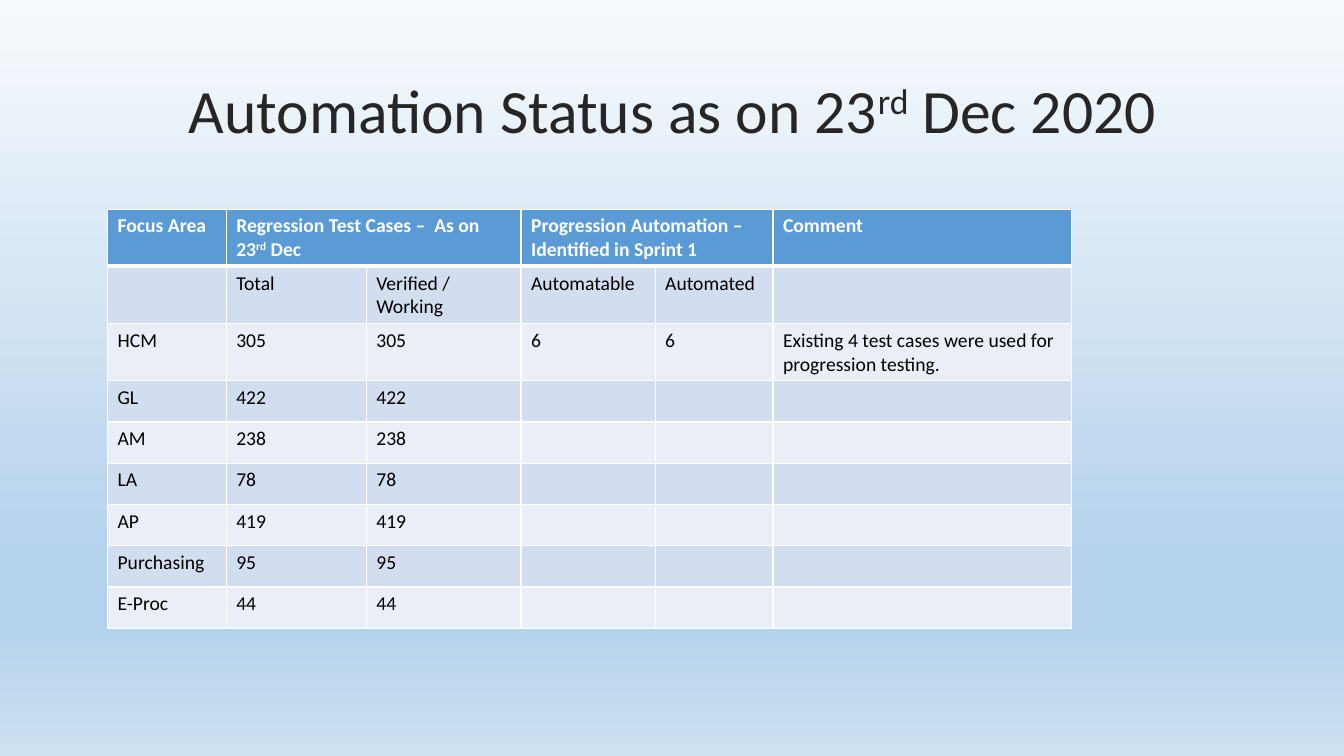
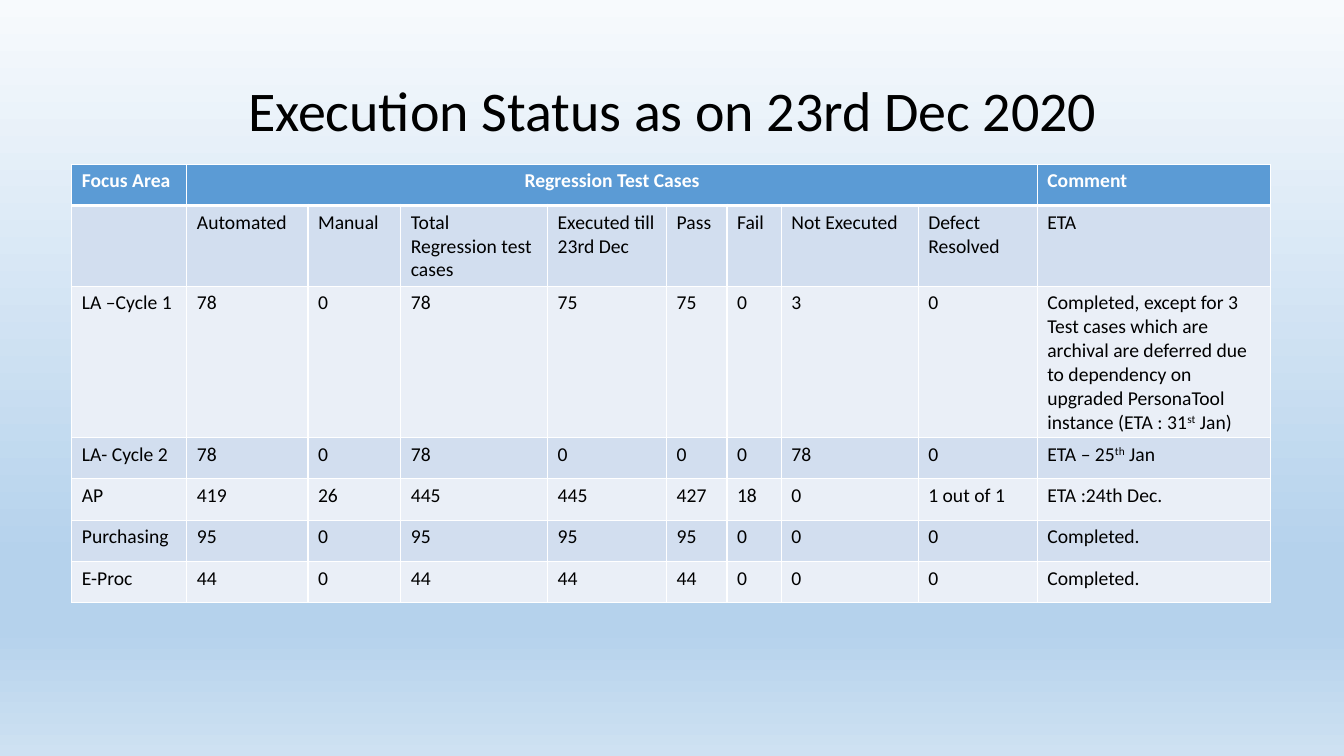
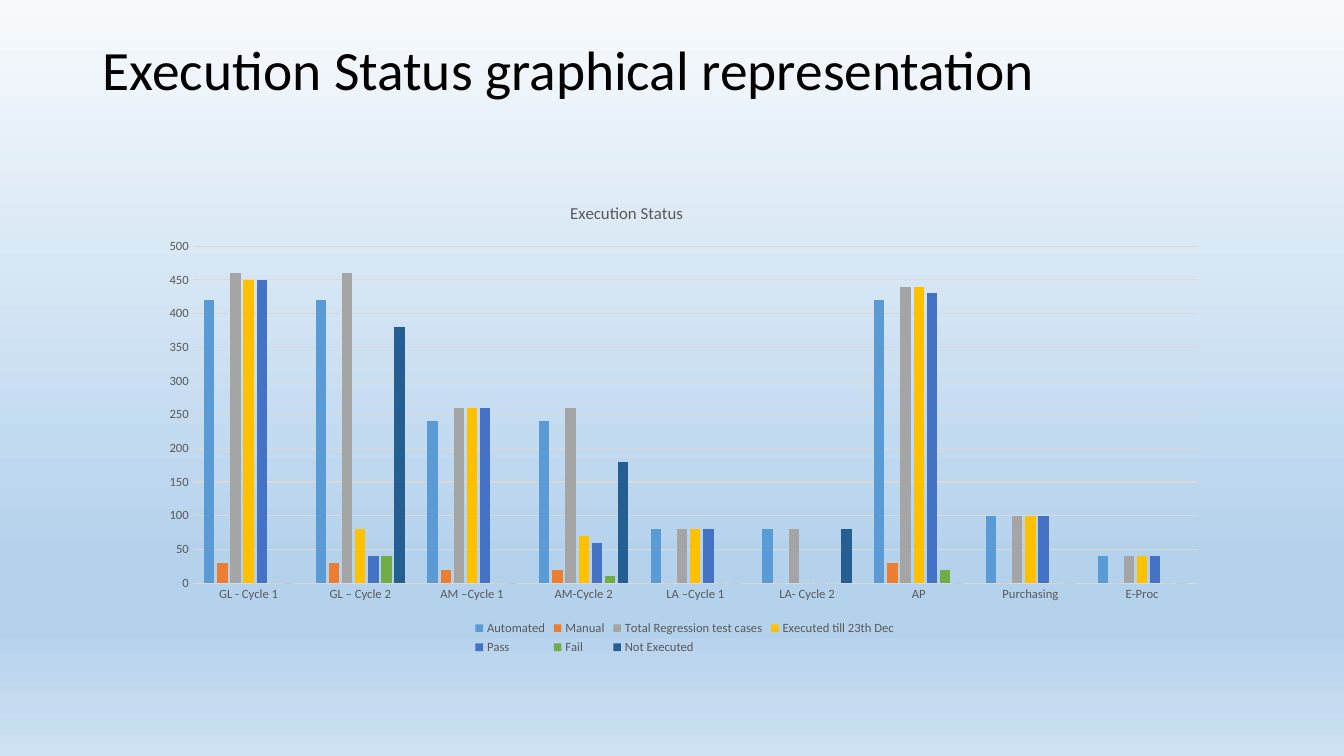
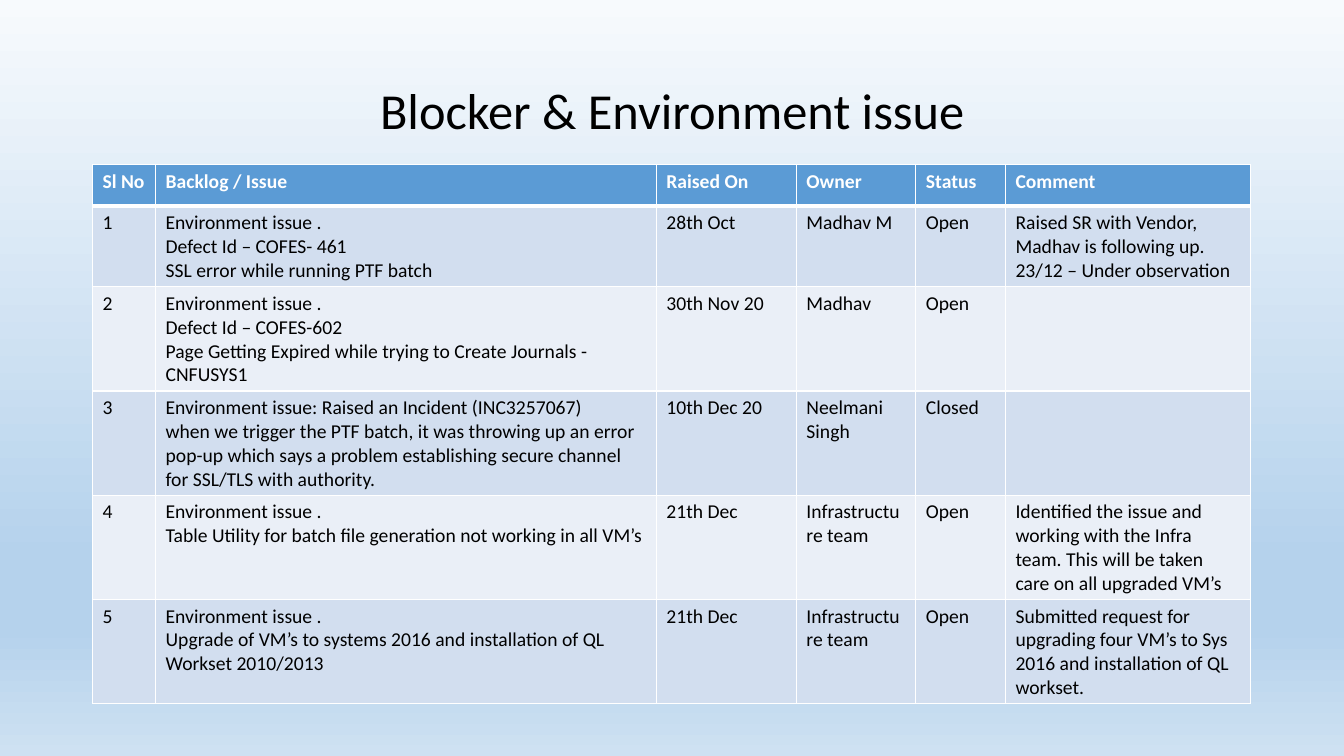
from lxml import etree
from pptx import Presentation
from pptx.chart.data import CategoryChartData
from pptx.dml.color import RGBColor
from pptx.enum.chart import XL_CHART_TYPE, XL_LEGEND_POSITION, XL_TICK_MARK
from pptx.enum.text import MSO_ANCHOR, PP_ALIGN
from pptx.oxml.ns import qn
from pptx.util import Cm, Pt

COLUMNS = XL_CHART_TYPE.COLUMN_CLUSTERED
BOTTOM = XL_LEGEND_POSITION.BOTTOM
NO_TICK = XL_TICK_MARK.NONE
MIDDLE = MSO_ANCHOR.MIDDLE
LEFT, CENTER = PP_ALIGN.LEFT, PP_ALIGN.CENTER

FONT = "Calibri"
COLORS = {
    "black": "000000", "charcoal": "262626", "white": "FFFFFF",
    "header": "5B9BD5", "band_dark": "D2DEEF", "band_light": "EAEFF7",
    "label": "595959", "grid": "D9D9D9",
}
BACKGROUND = [(0, "F7FAFD"), (74, "B5D2EC"), (83, "B5D2EC"), (100, "CEE1F2")]
SERIES_COLORS = ["5B9BD5", "ED7D31", "A5A5A5", "FFC000", "4472C4", "70AD47", "255E91"]

TITLE_BOX = (2.34, 1.02, 29.21, 3.68)
CHART_TITLE_BOX = (2.34, 1.02, 29.21, 1.63)
CHART_BOX = (3.78, 4.65, 26.95, 11.96)
ROW_HEIGHT = 1.04

AUTOMATION_COLUMNS = [2.99, 3.53, 3.9, 3.38, 2.97, 7.52]
# None in a header row extends the cell on its left.
AUTOMATION_ROWS = [
    ["Focus Area", "Regression Test Cases –  As on 23^rd^ Dec", None,
     "Progression Automation – Identified in Sprint 1", None, "Comment"],
    ["", "Total", "Verified / Working", "Automatable", "Automated", ""],
    ["HCM", "305", "305", "6", "6",
     "Existing 4 test cases were used for progression testing."],
] + [[area, count, count, "", "", ""] for area, count in [
    ("GL", "422"), ("AM", "238"), ("LA", "78"), ("AP", "419"),
    ("Purchasing", "95"), ("E-Proc", "44")]]

EXECUTION_COLUMNS = [2.9, 3.05, 2.34, 3.7, 3, 1.52, 1.37, 3.45, 3, 5.87]
EXECUTION_ROWS = [
    ["Focus Area", "Regression Test Cases"] + [None] * 7 + ["Comment"],
    ["", "Automated", "Manual", "Total Regression test cases",
     "Executed till 23rd Dec", "Pass", "Fail", "Not Executed",
     "Defect Resolved", "ETA"],
    ["LA –Cycle 1", "78", "0", "78", "75", "75", "0", "3", "0",
     "Completed, except for 3 Test cases which are archival are deferred due "
     "to dependency on upgraded PersonaTool instance (ETA : 31^st^ Jan)"],
    ["LA- Cycle 2", "78", "0", "78", "0", "0", "0", "78", "0", "ETA – 25^th^ Jan"],
    ["AP", "419", "26", "445", "445", "427", "18", "0", "1 out of 1",
     "ETA :24th Dec."],
    ["Purchasing", "95", "0", "95", "95", "95", "0", "0", "0", "Completed."],
    ["E-Proc", "44", "0", "44", "44", "44", "0", "0", "0", "Completed."],
]

CYCLES = ["GL - Cycle 1", "GL – Cycle 2", "AM –Cycle 1", "AM-Cycle 2",
          "LA –Cycle 1", "LA- Cycle 2", "AP", "Purchasing", "E-Proc"]
CYCLE_COUNTS = {
    "Automated": [420, 420, 240, 240, 80, 80, 420, 100, 40],
    "Manual": [30, 30, 20, 20, 0, 0, 30, 0, 0],
    "Total Regression test cases": [460, 460, 260, 260, 80, 80, 440, 100, 40],
    "Executed till 23th Dec": [450, 80, 260, 70, 80, 0, 440, 100, 40],
    "Pass": [450, 40, 260, 60, 80, 0, 430, 100, 40],
    "Fail": [0, 40, 0, 10, 0, 0, 20, 0, 0],
    "Not Executed": [0, 380, 0, 180, 0, 80, 0, 0, 0],
}

ISSUE_COLUMNS = [1.59, 12.62, 3.53, 3.01, 2.26, 6.18]
ISSUE_ROWS = [
    ["Sl No", "Backlog / Issue", "Raised On", "Owner", "Status", "Comment"],
    ["1", "Environment issue .\nDefect Id – COFES- 461\n"
     "SSL error while running PTF batch", "28th Oct", "Madhav M", "Open",
     "Raised SR with Vendor, Madhav is following up.\n23/12 – Under observation"],
    ["2", "Environment issue .\nDefect Id – COFES-602\n"
     "Page Getting Expired while trying to Create Journals - CNFUSYS1",
     "30th Nov 20", "Madhav", "Open", ""],
    ["3", "Environment issue: Raised an Incident (INC3257067)\n"
     "when we trigger the PTF batch, it was throwing up an error pop-up which "
     "says a problem establishing secure channel for SSL/TLS with authority.",
     "10th Dec 20", "Neelmani Singh", "Closed", ""],
    ["4", "Environment issue .\n"
     "Table Utility for batch file generation not working in all VM’s",
     "21th Dec", "Infrastructure team", "Open",
     "Identified the issue and working with the Infra team. "
     "This will be taken care on all upgraded VM’s"],
    ["5", "Environment issue .\nUpgrade of VM’s to systems 2016 and "
     "installation of QL Workset 2010/2013",
     "21th Dec", "Infrastructure team", "Open",
     "Submitted request for upgrading four VM’s to Sys 2016 and "
     "installation of QL workset."],
]


def rgb(name):
    """Return a palette colour."""
    return RGBColor.from_string(COLORS[name])


def style_font(font, size, color, bold=False):
    """Apply the deck font with a size, colour and weight."""
    font.name, font.size, font.bold = FONT, Pt(size), bold
    font.color.rgb = rgb(color)


def write(frame, text, size, color, bold=False, align=LEFT, spacing=None):
    """Fill a frame, one paragraph a line; text between carets is raised."""
    frame.text = text.replace("^", "")
    for para, line in zip(frame.paragraphs, text.split("\n")):
        para.alignment = align
        para.line_spacing = spacing
        para.text = ""
        for index, part in enumerate(line.split("^")):
            if not part:
                continue
            span = para.add_run()
            span.text = part
            style_font(span.font, size, color, bold)
            if index % 2:
                span.font._element.set("baseline", "30000")


def set_background(deck):
    """Give the master the vertical gradient all slides share."""
    fill = deck.slide_master.background.fill
    fill.gradient()
    fill.gradient_angle = 270
    stops = next(deck.slide_master.element.iter(qn("a:gsLst")))
    for stop in list(stops):
        stops.remove(stop)
    for percent, color in BACKGROUND:
        stop = etree.SubElement(stops, qn("a:gs"), pos=str(percent * 1000))
        etree.SubElement(stop, qn("a:srgbClr"), val=color)


def add_title(page, text, size, box=TITLE_BOX, color="black", align=CENTER):
    """Place the slide title in its box."""
    frame = page.shapes.add_textbox(*map(Cm, box)).text_frame
    frame.word_wrap = True
    frame.vertical_anchor = MIDDLE
    write(frame, text, size, color, align=align, spacing=0.9)


def set_borders(cell, top, bottom):
    """Draw white cell borders; top and bottom are widths in points."""
    properties = cell._tc.get_or_add_tcPr()
    for index, (side, width) in enumerate(
            [("lnL", 1), ("lnR", 1), ("lnT", top), ("lnB", bottom)]):
        line = etree.Element(qn("a:" + side), w=str(Pt(width)))
        fill = etree.SubElement(line, qn("a:solidFill"))
        etree.SubElement(fill, qn("a:srgbClr"), val=COLORS["white"])
        properties.insert(index, line)


def add_status_table(page, left, top, widths, rows, centered=()):
    """Draw a banded table; header columns in centered are centred."""
    table = page.shapes.add_table(
        len(rows), len(widths), Cm(left), Cm(top),
        Cm(sum(widths)), Cm(ROW_HEIGHT * len(rows))).table
    for column, width in zip(table.columns, widths):
        column.width = Cm(width)
    for row_index, row in enumerate(rows):
        table.rows[row_index].height = Cm(ROW_HEIGHT)
        is_header = row_index == 0
        band = "header" if is_header else "band_dark" if row_index % 2 else "band_light"
        for index, text in enumerate(row):
            cell = table.cell(row_index, index)
            cell.fill.solid()
            cell.fill.fore_color.rgb = rgb(band)
            set_borders(cell, 3 if row_index == 1 else 1, 3 if is_header else 1)
            if text:
                write(cell.text_frame, text, 14, "white" if is_header else "black",
                      is_header, CENTER if is_header and index in centered else LEFT)
    merge_header(table, rows[0])


def merge_header(table, header):
    """Merge each header cell with the None entries on its right."""
    start = 0
    for index in range(1, len(header) + 1):
        if index == len(header) or header[index] is not None:
            if index - start > 1:
                table.cell(0, start).merge(table.cell(0, index - 1))
            start = index


def set_layout(part, position, inner=False, **fractions):
    """Fix a chart part at fractions of the chart area."""
    for old in part.findall(qn("c:layout")):
        part.remove(old)
    layout = etree.Element(qn("c:layout"))
    part.insert(position, layout)
    manual = etree.SubElement(layout, qn("c:manualLayout"))
    if inner:
        etree.SubElement(manual, qn("c:layoutTarget"), val="inner")
    for mode in ("xMode", "yMode"):
        etree.SubElement(manual, qn("c:" + mode), val="edge")
    for key, value in fractions.items():
        etree.SubElement(manual, qn("c:" + key), val=str(value))


def add_cycle_chart(page, box):
    """Draw the clustered columns of test counts by cycle."""
    data = CategoryChartData()
    data.categories = CYCLES
    for name, counts in CYCLE_COUNTS.items():
        data.add_series(name, counts)
    chart = page.shapes.add_chart(COLUMNS, *map(Cm, box), data).chart
    style_font(chart.font, 10, "black")

    chart.has_title = True
    write(chart.chart_title.text_frame, "Execution Status", 12, "label", align=CENTER)
    set_layout(chart.chart_title._element, 1, x=0.39, y=0.03)

    chart.has_legend = True
    chart.legend.position = BOTTOM
    chart.legend.include_in_layout = False
    style_font(chart.legend.font, 9, "label")
    set_layout(chart.legend._element, 1, x=0.3, y=0.91, w=0.4, h=0.09)

    plot = chart.plots[0]
    plot.gap_width, plot.overlap = 219, -27
    plot.vary_by_categories = False
    for series, color in zip(plot.series, SERIES_COLORS):
        series.format.fill.solid()
        series.format.fill.fore_color.rgb = RGBColor.from_string(color)
    plot_area = next(chart._chartSpace.iter(qn("c:plotArea")))
    set_layout(plot_area, 0, inner=True, x=0.04, y=0.13, w=0.94, h=0.71)

    for axis in (chart.category_axis, chart.value_axis):
        axis.major_tick_mark = axis.minor_tick_mark = NO_TICK
        style_font(axis.tick_labels.font, 9, "label")
    counts_axis = chart.value_axis
    counts_axis.minimum_scale, counts_axis.maximum_scale = 0, 500
    counts_axis.major_unit = 50
    counts_axis.format.line.fill.background()
    for line in (chart.category_axis.format.line,
                 counts_axis.major_gridlines.format.line):
        line.color.rgb = rgb("grid")
        line.width = Pt(0.75)


def main():
    """Build and save the status deck."""
    deck = Presentation()
    deck.slide_width, deck.slide_height = Cm(33.87), Cm(19.05)
    set_background(deck)
    automation, execution, graph, issues = [
        deck.slides.add_slide(deck.slide_layouts[6]) for _ in range(4)]

    add_title(automation, "Automation Status as on 23^rd^ Dec 2020", 44, color="charcoal")
    add_status_table(automation, 2.71, 5.27, AUTOMATION_COLUMNS, AUTOMATION_ROWS)

    add_title(execution, "Execution Status as on 23rd Dec 2020", 40)
    add_status_table(execution, 1.81, 4.14, EXECUTION_COLUMNS, EXECUTION_ROWS, centered=[1])

    add_title(graph, "Execution Status graphical representation", 39.6,
              CHART_TITLE_BOX, align=LEFT)
    add_cycle_chart(graph, CHART_BOX)

    add_title(issues, "Blocker & Environment issue", 36)
    add_status_table(issues, 2.33, 4.15, ISSUE_COLUMNS, ISSUE_ROWS)
    deck.save("out.pptx")


main()
